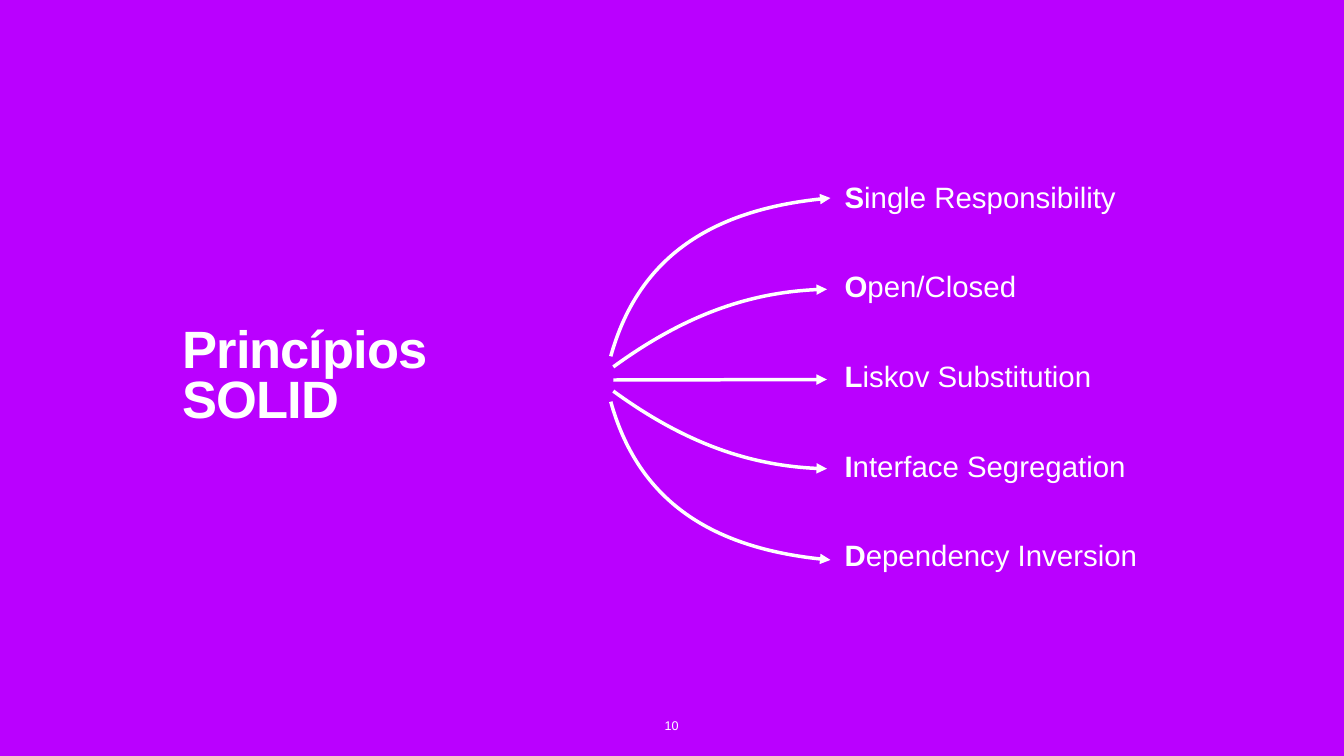
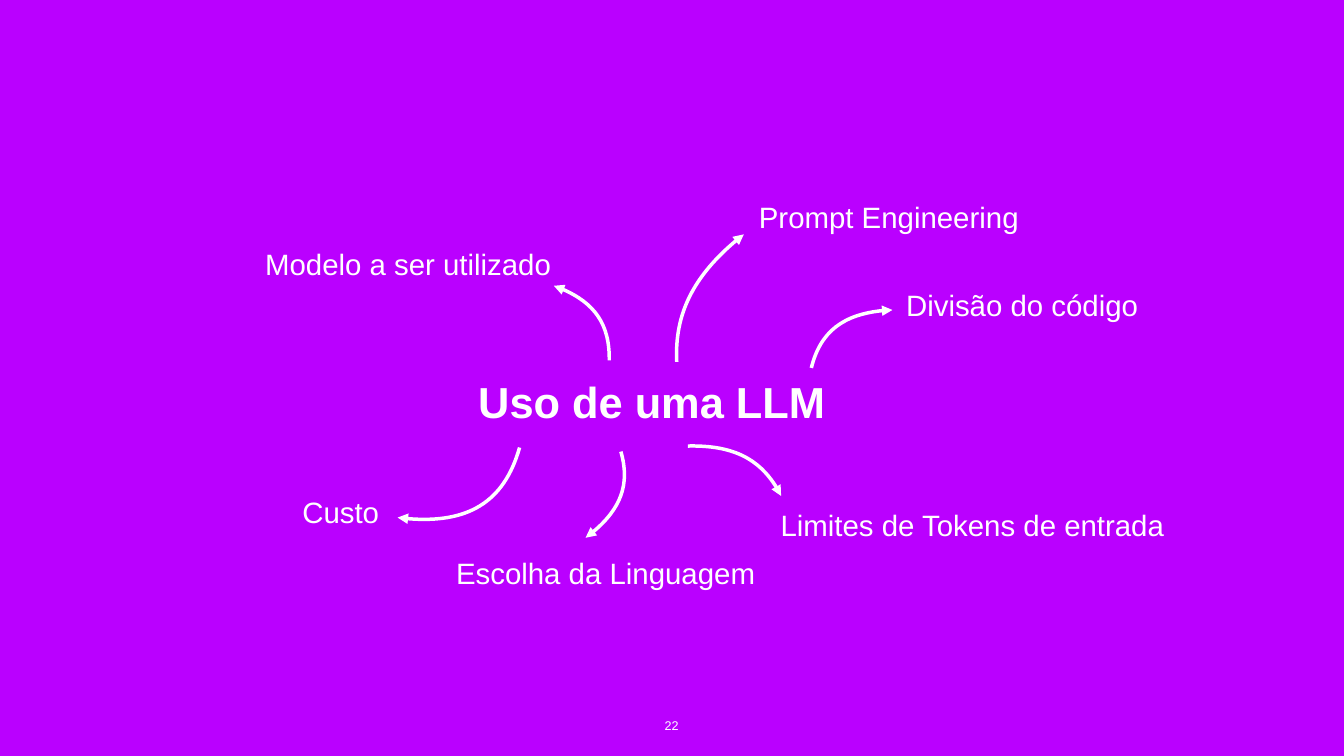
from lxml.etree import SubElement as Sub
from pptx import Presentation
from pptx.dml.color import RGBColor as Rgb
from pptx.enum.shapes import MSO_CONNECTOR as Conn
from pptx.enum.text import MSO_ANCHOR as Anchor, MSO_AUTO_SIZE as Auto, PP_ALIGN as Align
from pptx.oxml.ns import qn
from pptx.util import Inches, Pt

HEX = {"back": "BA00FF", "ink": "FFFFFF"}
FONT = "Arial"
COLS, ROWS = 26.67, 15  # grid of square cells
CELL = Inches(1)
PAD = 0.08
MID = 7.52  # row on which the SOLID fan is mirrored


def cells(*nums):
    return [round(n * CELL) for n in nums]


def color(name):
    return Rgb.from_string(HEX[name])


# Text
def text(slide, words, at, size=42, bold=False, lead="", space=0.9, gap=0,
         align=Align.LEFT, anchor=Anchor.MIDDLE, wrap=True):
    """Write one paragraph; lead is a bold opening before the words."""
    frame = slide.shapes.add_textbox(*cells(*at)).text_frame
    frame.margin_left = frame.margin_right = round(PAD * CELL)
    frame.margin_top = frame.margin_bottom = round(PAD * CELL)
    frame.word_wrap = wrap
    frame.auto_size = Auto.NONE if wrap else Auto.SHAPE_TO_FIT_TEXT
    frame.vertical_anchor = anchor
    para = frame.paragraphs[0]
    para.alignment, para.line_spacing = align, space
    for part, heavy in ((lead, True), (words, bold)):
        if not part:
            continue
        run = para.add_run()
        run.text = part
        font = run.font
        font.name, font.size, font.bold = FONT, Pt(size), heavy
        font.color.rgb = color("ink")
        if gap:
            run._r.get_or_add_rPr().set("spc", str(round(gap * 100)))


# Arrows
def tip(shape):
    """White line that ends in a triangle."""
    shape.line.color.rgb = color("ink")
    shape.line.width = Pt(5)
    Sub(shape.line._get_or_add_ln(), qn("a:tailEnd"), type="triangle")


def line(slide, start, end):
    shape = slide.shapes.add_connector(Conn.STRAIGHT, *cells(*start, *end))
    tip(shape)
    Sub(shape._element.spPr, qn("a:effectLst"))


def curve(slide, start, *rest):
    """Cubic curve: start, two control points, end."""
    pen = slide.shapes.build_freeform(*cells(*start))
    pen.add_line_segments([cells(*point) for point in rest], close=False)
    shape = pen.convert_to_shape()
    shape.fill.background()
    shape.shadow.inherit = False
    tip(shape)
    track = shape._element.find(".//" + qn("a:path"))
    bend = Sub(track, qn("a:cubicBezTo"))
    for step in track.findall(qn("a:lnTo")):
        bend.append(step[0])
        track.remove(step)


# Slides
def page(deck, number):
    slide = deck.slides.add_slide(deck.slide_layouts[6])
    fill = slide.background.fill
    fill.solid()
    fill.fore_color.rgb = color("back")
    text(slide, number, (13.1, 14.17, 0.45, 0.45), size=18, space=1,
         align=Align.CENTER, anchor=Anchor.BOTTOM, wrap=False)
    return slide


def solid(deck):
    slide = page(deck, "10")
    text(slide, "Princípios SOLID", (3.55, 6.81, 8.26, 1.39),
         size=75, bold=True, space=0.8, gap=-1.5)

    names = ("Single Responsibility", "Open/Closed", "Liskov Substitution",
             "Interface Segregation", "Dependency Inversion")
    for row, name in enumerate(names):
        text(slide, name[1:], (16.68, 3.41 + 1.78 * row, 6.44, 1.06), lead=name[0])

    # Column and distance from the middle row of each curve point
    outer = ((12.12, 0.45), (12.65, 2.35), (14.1, 3.39), (16.48, 3.59))
    inner = ((12.17, 0.24), (13.57, 1.26), (14.98, 1.76), (16.41, 1.78))
    for side in (-1, 1):
        for arc in (outer, inner):
            curve(slide, *((x, MID + side * y) for x, y in arc))
    line(slide, (12.17, 7.54), (16.41, 7.53))


def usage(deck):
    slide = page(deck, "22")
    text(slide, "Uso de uma LLM", (9.41, 7.44, 7.12, 1.17),
         size=62, bold=True, wrap=False)

    topics = (
        ("Modelo a ser utilizado", 5.18, 4.87, 5.91),
        ("Prompt Engineering", 14.98, 3.93, 5.33),
        ("Divisão do código", 17.9, 5.68, 4.87),
        ("Custo", 5.92, 9.79, 1.73),
        ("Escolha da Linguagem", 8.97, 11, 6.11),
        ("Limites de Tokens de entrada", 15.41, 10.04, 7.83),
    )
    for name, x, y, wide in topics:
        text(slide, name, (x, y, wide, 0.83), wrap=False)

    arcs = (
        ((12.09, 7.15), (12.1, 6.42), (11.73, 5.93), (10.99, 5.67)),
        ((13.43, 7.18), (13.38, 6.22), (13.82, 5.38), (14.76, 4.65)),
        ((16.1, 7.3), (16.28, 6.57), (16.82, 6.18), (17.71, 6.15)),
        ((10.31, 8.88), (10, 9.98), (9.19, 10.44), (7.89, 10.27)),
        ((12.32, 8.96), (12.51, 9.61), (12.28, 10.19), (11.62, 10.67)),
        ((13.65, 8.85), (14.55, 8.83), (15.17, 9.16), (15.5, 9.84)),
    )
    for arc in arcs:
        curve(slide, *arc)


def main():
    deck = Presentation()
    deck.slide_width, deck.slide_height = cells(COLS, ROWS)
    solid(deck)
    usage(deck)
    deck.save("out.pptx")


if __name__ == "__main__":
    main()
